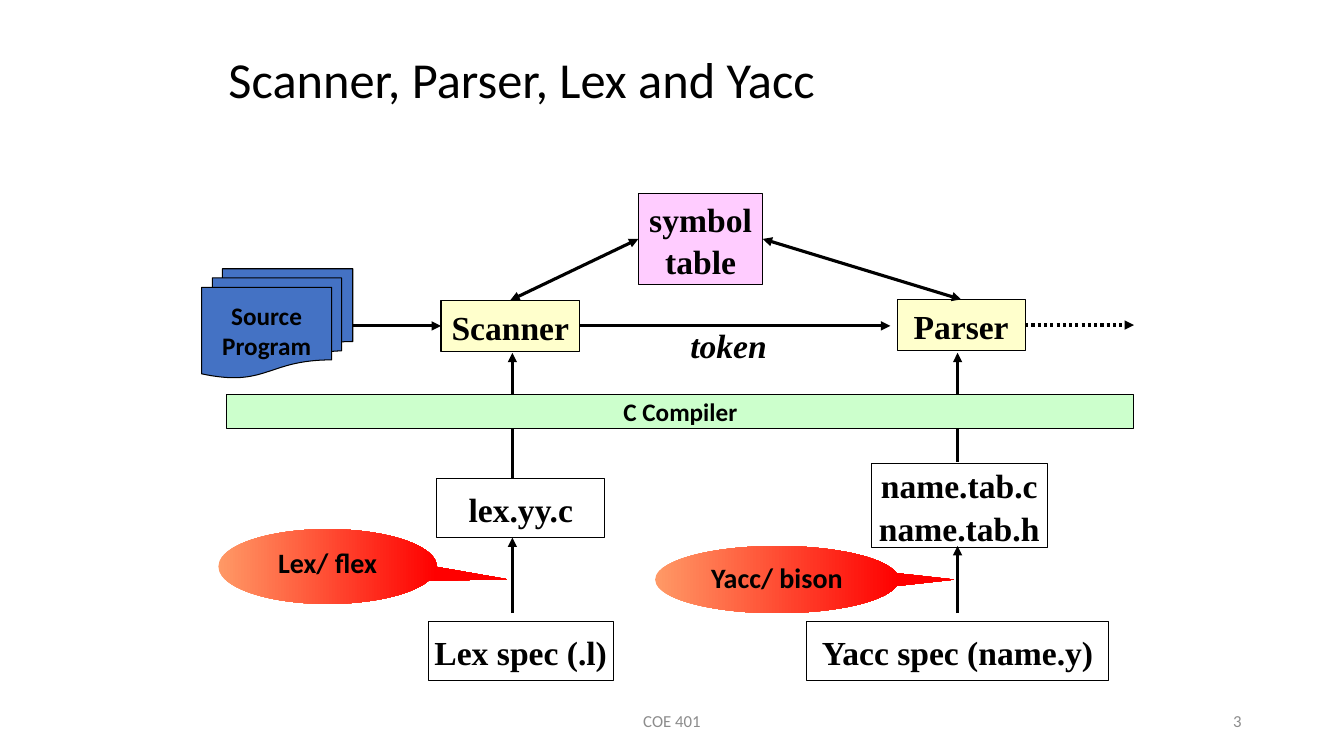
from dataclasses import dataclass
from typing import Optional

from lxml import etree
from pptx import Presentation
from pptx.dml.color import RGBColor
from pptx.enum.dml import MSO_LINE
from pptx.enum.shapes import MSO_CONNECTOR, MSO_SHAPE
from pptx.enum.text import MSO_ANCHOR, MSO_AUTO_SIZE, PP_ALIGN
from pptx.oxml.ns import qn
from pptx.util import Inches, Pt

RECTANGLE = MSO_SHAPE.RECTANGLE
CALLOUT = MSO_SHAPE.OVAL_CALLOUT
DOCUMENTS = MSO_SHAPE.FLOWCHART_MULTIDOCUMENT
LEFT, CENTER, RIGHT = PP_ALIGN.LEFT, PP_ALIGN.CENTER, PP_ALIGN.RIGHT
TOP, MIDDLE = MSO_ANCHOR.TOP, MSO_ANCHOR.MIDDLE
SIDE_TOP, SIDE_LEFT, SIDE_RIGHT = 0, 1, 3

# The slide is a grid of 160 columns by 90 rows, twelve to the inch
COLUMNS, ROWS = 160, 90
CELL = Inches(1) / 12
TITLE_AREA = (26, 5, 99, 9.6)

COLORS = {
    "black": "000000",
    "gray": "8C8C8C",
    "yellow": "FFFFCC",
    "pink": "FFCCFF",
    "green": "CCFFCC",
    "blue": "4472C4",
    "orange": "FF9966",
    "red": "FF0000",
}


@dataclass(frozen=True)
class Style:
    font: str
    size: float
    bold: bool = True
    italic: bool = False
    color: str = "black"
    align: PP_ALIGN = CENTER
    spacing: float = 1.0


CODE = Style("Times New Roman", 24, spacing=1.06)
TOKEN = Style("Times New Roman", 24, italic=True, align=LEFT, spacing=1.06)
LABEL = Style("Calibri", 18)
TOOL = Style("Calibri", 20)
TITLE = Style("Calibri", 36, bold=False, align=LEFT, spacing=0.9)
FOOTER = Style("Calibri", 12, bold=False, color="gray")
NUMBER = Style("Calibri", 12, bold=False, color="gray", align=RIGHT)


@dataclass(frozen=True)
class Box:
    lines: tuple[str, ...]
    area: tuple[float, float, float, float]
    fill: Optional[str] = None
    style: Style = CODE
    kind: MSO_SHAPE = RECTANGLE


@dataclass(frozen=True)
class Callout:
    text: str
    area: tuple[float, float, float, float]
    tip: tuple[float, float]


@dataclass(frozen=True)
class Label:
    text: str
    area: tuple[float, float, float, float]
    style: Style


@dataclass(frozen=True)
class Arrow:
    start: tuple[float, float]
    end: tuple[float, float]
    start_joint: Optional[tuple[str, int]] = None
    end_joint: Optional[tuple[str, int]] = None
    both_ends: bool = False
    dotted: bool = False


BOXES = (
    Box(("Scanner",), (52.5, 35.75, 16.5, 6.1), "yellow"),
    Box(("Parser",), (106.8, 35.65, 15.25, 6.1), "yellow"),
    Box(("symbol", "table"), (76, 23, 14.8, 10.9), "pink"),
    Box(("lex.yy.c",), (52, 57, 20, 7)),
    Box(("name.tab.c", "name.tab.h"), (103.7, 55.2, 21, 10)),
    Box(("Lex spec (.l)",), (51, 74, 22, 7)),
    Box(("Yacc spec (name.y)",), (96, 74, 36, 7)),
)
COMPILER = Box(("C Compiler",), (27, 47, 108, 4), "green", LABEL)
SOURCE = Box(("Source", "Program"), (24, 32, 18, 13), "blue", LABEL, DOCUMENTS)

ARROWS = (
    Arrow((114.4, 35.65), (90.8, 28.45), ("Parser", SIDE_TOP), ("symbol", SIDE_RIGHT), both_ends=True),
    Arrow((60.75, 35.75), (76, 28.45), ("Scanner", SIDE_TOP), ("symbol", SIDE_LEFT), both_ends=True),
    Arrow((41.8, 38.8), (52.5, 38.8), end_joint=("Scanner", SIDE_LEFT)),
    Arrow((69, 38.8), (106, 38.8), start_joint=("Scanner", SIDE_RIGHT)),
    Arrow((122.05, 38.7), (135, 38.7), start_joint=("Parser", SIDE_RIGHT), dotted=True),
    Arrow((61, 57), (61, 42)),
    Arrow((61, 73), (61, 64)),
    Arrow((114, 55), (114, 42)),
    Arrow((114, 73), (114, 65)),
)
CALLOUTS = (
    Callout("Lex/ flex", (26, 63, 26, 8.9), (0.821, 0.169)),
    Callout("Yacc/ bison", (78, 65, 29, 8), (0.728, 0)),
)
LABELS = (
    Label("token", (81, 38, 11.5, 6), TOKEN),
    Label("COE 401", (53, 83.4, 54, 4.8), FOOTER),
    Label("3", (113, 83.4, 36, 4.8), NUMBER),
)


def grid(*cells: float) -> list[int]:
    return [round(cell * CELL) for cell in cells]


def rgb(name: str) -> RGBColor:
    return RGBColor.from_string(COLORS[name])


def write(shape, lines: tuple[str, ...], style: Style, anchor=MIDDLE, wrap: bool = False) -> None:
    frame = shape.text_frame
    frame.auto_size = MSO_AUTO_SIZE.NONE
    frame.word_wrap = wrap
    frame.vertical_anchor = anchor
    for index, line in enumerate(lines):
        paragraph = frame.add_paragraph() if index else frame.paragraphs[0]
        paragraph.alignment = style.align
        paragraph.line_spacing = style.spacing
        run = paragraph.add_run()
        run.text = line
        run.font.name, run.font.size = style.font, Pt(style.size)
        run.font.bold, run.font.italic = style.bold, style.italic
        run.font.color.rgb = rgb(style.color)


def draw_box(slide, box: Box):
    shape = slide.shapes.add_shape(box.kind, *grid(*box.area))
    shape.shadow.inherit = False
    if box.fill:
        shape.fill.solid()
        shape.fill.fore_color.rgb = rgb(box.fill)
    else:
        shape.fill.background()
    shape.line.color.rgb = rgb("black")
    shape.line.width = Pt(0.75)
    write(shape, box.lines, box.style)
    return shape


def draw_callout(slide, callout: Callout) -> None:
    shape = slide.shapes.add_shape(CALLOUT, *grid(*callout.area))
    shape.shadow.inherit = False
    shape.adjustments[0], shape.adjustments[1] = callout.tip
    shape.fill.gradient()
    shape.fill.gradient_angle = 0
    for stop, position, color in zip(shape.fill.gradient_stops, (0, 1), ("orange", "red")):
        stop.position = position
        stop.color.rgb = rgb(color)
    shape.line.fill.background()
    write(shape, (callout.text,), TOOL, TOP, wrap=True)


def draw_arrow(slide, arrow: Arrow, shapes: dict) -> None:
    connector = slide.shapes.add_connector(MSO_CONNECTOR.STRAIGHT, *grid(*arrow.start, *arrow.end))
    if arrow.start_joint:
        name, side = arrow.start_joint
        connector.begin_connect(shapes[name], side)
    if arrow.end_joint:
        name, side = arrow.end_joint
        connector.end_connect(shapes[name], side)
    connector.line.color.rgb = rgb("black")
    connector.line.width = Pt(2.25)
    if arrow.dotted:
        connector.line.dash_style = MSO_LINE.ROUND_DOT
    line = connector.line._get_or_add_ln()
    for tag in ("a:headEnd", "a:tailEnd") if arrow.both_ends else ("a:tailEnd",):
        etree.SubElement(line, qn(tag), type="triangle")
    etree.SubElement(connector._element.spPr, qn("a:effectLst"))


def main() -> None:
    presentation = Presentation()
    presentation.slide_width, presentation.slide_height = grid(COLUMNS, ROWS)
    slide = presentation.slides.add_slide(presentation.slide_layouts[5])

    # Title
    title = slide.shapes.title
    title.left, title.top, title.width, title.height = grid(*TITLE_AREA)
    write(title, ("Scanner, Parser, Lex and Yacc",), TITLE, wrap=True)

    # Stages and files, then the arrows between them
    shapes = {box.lines[0]: draw_box(slide, box) for box in BOXES}
    for arrow in ARROWS:
        draw_arrow(slide, arrow, shapes)

    # Tools, and the parts that lie over the arrows
    for callout in CALLOUTS:
        draw_callout(slide, callout)
    for box in (COMPILER, SOURCE):
        draw_box(slide, box)

    # Token label, footer and slide number
    for label in LABELS:
        write(slide.shapes.add_textbox(*grid(*label.area)), (label.text,), label.style, wrap=True)

    presentation.save("out.pptx")


if __name__ == "__main__":
    main()
